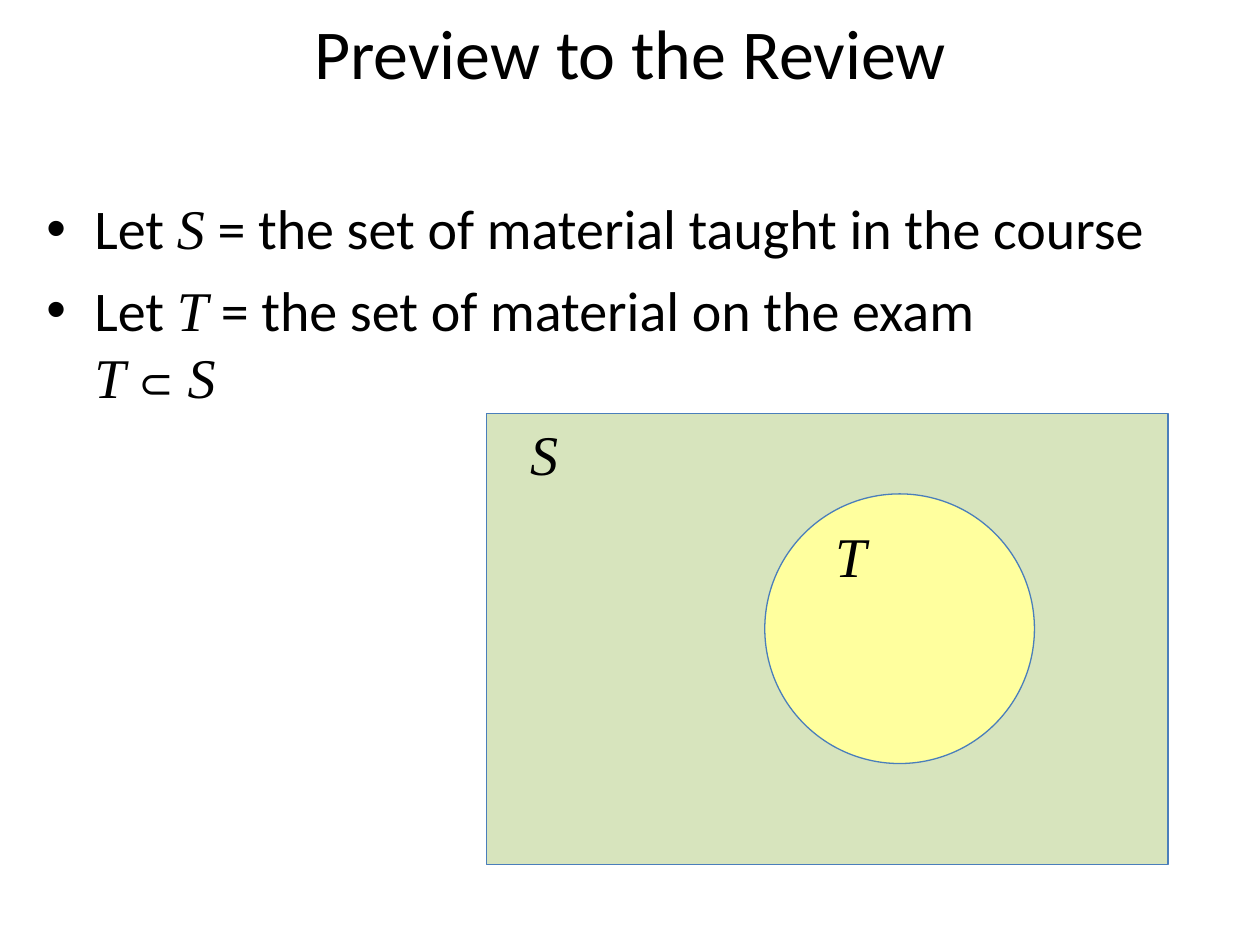
import dataclasses

import pptx
import pptx.dml.color
import pptx.enum.shapes
import pptx.enum.text
import pptx.oxml
import pptx.oxml.ns
import pptx.util
from pptx.util import Inches


@dataclasses.dataclass(frozen=True)
class Theme:
    ink: str = "000000"
    course_fill: str = "D7E4BD"
    exam_fill: str = "FFFF9E"
    outline: str = "4A7EBB"
    title_size: float = 40
    body_size: float = 32
    operator_size: float = 24
    outline_width: float = 0.75
    body_font: str = "Calibri"
    math_font: str = "Times New Roman"


THEME = Theme()


def rgb(value):
    return pptx.dml.color.RGBColor.from_string(value)


def add_text(paragraph, text, size=THEME.body_size, font=THEME.body_font,
             color=THEME.ink, italic=False):
    run = paragraph.add_run()
    run.text = text
    run.font.size = pptx.util.Pt(size)
    run.font.name = font
    run.font.italic = italic
    run.font.color.rgb = rgb(color)


def add_symbol(paragraph, text):
    add_text(paragraph, text, font=THEME.math_font, italic=True)


def add_bullet(paragraph, indent):
    properties = paragraph._p.get_or_add_pPr()
    properties.set("marL", str(indent))
    properties.set("indent", str(-indent))
    bullet_font = pptx.oxml.parse_xml(
        f'<a:buFont {pptx.oxml.ns.nsdecls("a")} typeface="Arial"/>')
    bullet = pptx.oxml.parse_xml(
        f'<a:buChar {pptx.oxml.ns.nsdecls("a")} char="•"/>')
    properties.extend([bullet_font, bullet])


def place_title(slide, left, top, width, height):
    title = slide.shapes.title
    title.left, title.top, title.width, title.height = left, top, width, height
    frame = title.text_frame
    frame.vertical_anchor = pptx.enum.text.MSO_ANCHOR.MIDDLE
    paragraph = frame.paragraphs[0]
    paragraph.alignment = pptx.enum.text.PP_ALIGN.CENTER
    add_text(paragraph, "Preview to the Review", size=THEME.title_size)


def place_definitions(slide, left, top, width, height):
    frame = slide.shapes.add_textbox(left, top, width, height).text_frame
    frame.word_wrap = True
    definitions = [
        ("S", " = the set of material taught in the course"),
        ("T", " = the set of material on the exam"),
    ]
    for index, (symbol, meaning) in enumerate(definitions):
        paragraph = frame.add_paragraph() if index else frame.paragraphs[0]
        add_bullet(paragraph, Inches(0.38))
        if index:
            paragraph.space_before = pptx.util.Pt(8)
        add_text(paragraph, "Let ")
        add_symbol(paragraph, symbol)
        add_text(paragraph, meaning)
    paragraph.add_line_break()
    add_symbol(paragraph, "T ")
    add_text(paragraph, "⊂", size=THEME.operator_size)
    add_symbol(paragraph, " S")


def add_set(slide, outline, fill, box, symbol, label_box):
    region = slide.shapes.add_shape(outline, *box)
    region.shadow.inherit = False
    region.fill.solid()
    region.fill.fore_color.rgb = rgb(fill)
    region.line.color.rgb = rgb(THEME.outline)
    region.line.width = pptx.util.Pt(THEME.outline_width)
    label = slide.shapes.add_textbox(*label_box).text_frame
    label.word_wrap = False
    label.auto_size = pptx.enum.text.MSO_AUTO_SIZE.SHAPE_TO_FIT_TEXT
    add_symbol(label.paragraphs[0], symbol)


def place_venn(slide, left, top, width, height):
    shapes = pptx.enum.shapes.MSO_SHAPE
    diameter = Inches(2.14)
    label_height = Inches(0.64)
    circle_left, circle_top = left + Inches(2.21), top + label_height
    add_set(slide, shapes.RECTANGLE, THEME.course_fill,
            (left, top, width, height), "S",
            (left + Inches(0.25), top, Inches(0.42), label_height))
    add_set(slide, shapes.OVAL, THEME.exam_fill,
            (circle_left, circle_top, diameter, diameter), "T",
            (circle_left + Inches(0.46), circle_top + Inches(0.17),
             Inches(0.45), label_height))


def main():
    deck = pptx.Presentation()
    deck.slide_width, deck.slide_height = Inches(10), Inches(7.5)
    slide = deck.slides.add_slide(deck.slide_layouts.get_by_name("Title Only"))
    place_title(slide, Inches(0.5), Inches(0.01), Inches(9), Inches(0.8))
    place_definitions(slide, Inches(0.27), Inches(1.49), Inches(9), Inches(4.95))
    place_venn(slide, Inches(3.86), Inches(3.28), Inches(5.41), Inches(3.58))
    deck.save("out.pptx")


if __name__ == "__main__":
    main()
